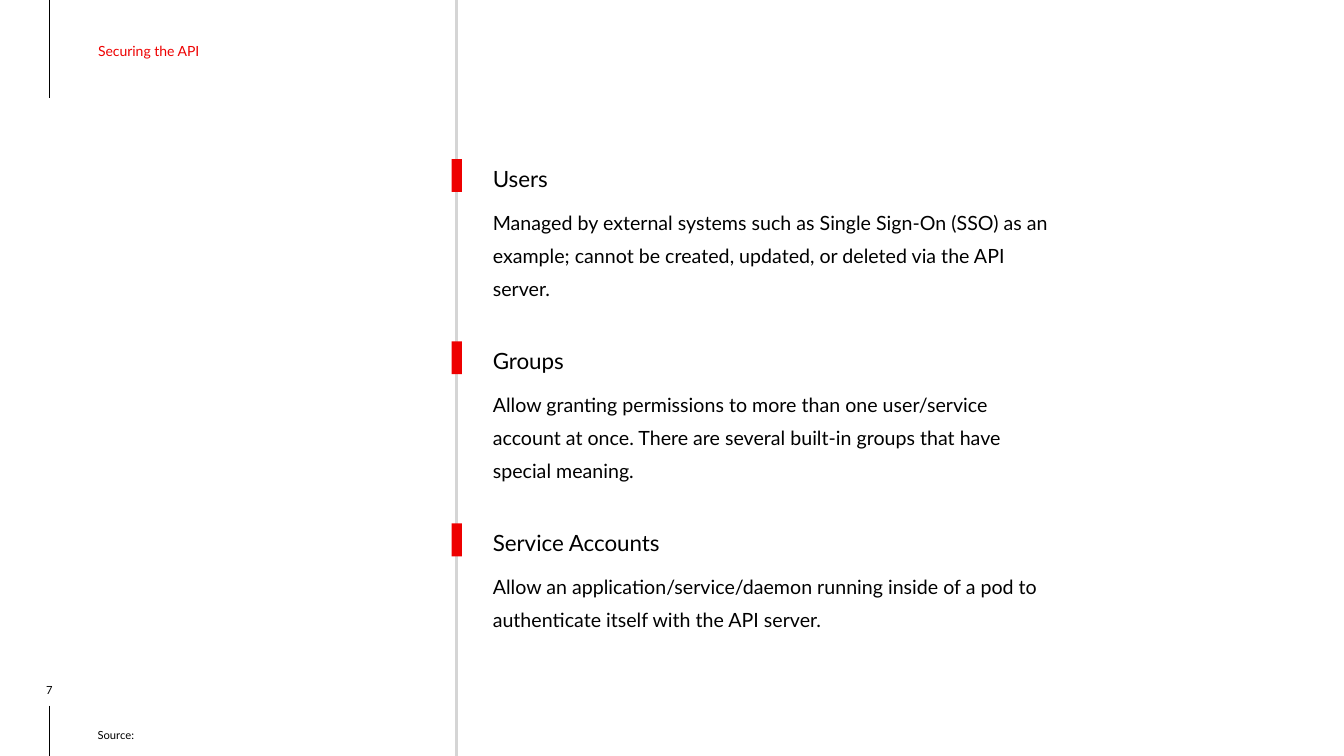
from pptx import Presentation
from pptx.dml.color import RGBColor
from pptx.enum.shapes import MSO_CONNECTOR as Connector, MSO_SHAPE as Shape
from pptx.enum.text import MSO_ANCHOR as Anchor, MSO_AUTO_SIZE as AutoSize, PP_ALIGN as Align
from pptx.oxml.ns import qn
from pptx.util import Cm, Pt
from lxml.etree import SubElement

# Content
TITLE = "Securing the API"
PAGE_NUMBER = "7"
SOURCE = "Source:"
SECTIONS = [
    ("Users", "Managed by external systems such as Single Sign-On (SSO) as an example; "
              "cannot be created, updated, or deleted via the API server."),
    ("Groups", "Allow granting permissions to more than one user/service account at once. "
               "There are several built-in groups that have special meaning."),
    ("Service Accounts", "Allow an application/service/daemon running inside of a pod to "
                         "authenticate itself with the API server."),
]

# Style
FONT = "Lato"
COLORS = {"accent": "EE0000", "text": "000000", "rail": "D5D5D5", "margin": "000000"}

# Layout in centimetres
WIDTH, HEIGHT = 33.87, 19.05
MARGIN_X = 1.25
RAIL_X = 11.51
MARKER_WIDTH, MARKER_HEIGHT = 0.26, 0.83
TEXT_X = 12.42
FIRST_Y, SECTION_STEP = 4.01, 4.59
BODY_OFFSET = 1.07


def color(name):
    return RGBColor.from_string(COLORS[name])


def write(box, text, size, ink="text", anchor=Anchor.BOTTOM, align=Align.LEFT,
          spacing=1.0, insets=(0, 0, 0, 0)):
    frame = box.text_frame
    frame.auto_size = AutoSize.NONE
    frame.word_wrap = True
    frame.vertical_anchor = anchor
    (frame.margin_left, frame.margin_top,
     frame.margin_right, frame.margin_bottom) = map(Cm, insets)
    para = frame.paragraphs[0]
    para.alignment = align
    para.line_spacing = spacing
    span = para.add_run()
    span.text = text
    span.font.name = FONT
    span.font.size = Pt(size)
    span.font.color.rgb = color(ink)


def add_text(page, left, top, width, height, text, size, **style):
    box = page.shapes.add_textbox(Cm(left), Cm(top), Cm(width), Cm(height))
    write(box, text, size, **style)


def add_vertical_line(page, x, top, bottom, ink, weight):
    line = page.shapes.add_connector(Connector.STRAIGHT, Cm(x), Cm(top), Cm(x), Cm(bottom))
    line.line.color.rgb = color(ink)
    line.line.width = Pt(weight)
    SubElement(line._element.spPr, qn("a:effectLst"))


def add_marker(page, top):
    marker = page.shapes.add_shape(Shape.RECTANGLE, Cm(RAIL_X - MARKER_WIDTH / 2), Cm(top),
                                   Cm(MARKER_WIDTH), Cm(MARKER_HEIGHT))
    marker.shadow.inherit = False
    marker.fill.solid()
    marker.fill.fore_color.rgb = color("accent")
    marker.line.fill.background()


def main():
    deck = Presentation()
    deck.slide_width, deck.slide_height = Cm(WIDTH), Cm(HEIGHT)
    page = deck.slides.add_slide(deck.slide_layouts[5])

    # Margin lines and central rail
    add_vertical_line(page, MARGIN_X, 0, 2.47, "margin", 0.75)
    add_vertical_line(page, MARGIN_X, 17.78, HEIGHT, "margin", 0.75)
    add_vertical_line(page, RAIL_X, 0, HEIGHT, "rail", 2.25)

    # Title
    title = page.shapes.title
    title.left, title.top, title.width, title.height = Cm(MARGIN_X), Cm(0.15), Cm(14.3), Cm(2.26)
    write(title, TITLE, 10, ink="accent", anchor=Anchor.MIDDLE,
          insets=(1.22, 0.25, 0.25, 0.25))

    # Sections along the rail
    for index, (heading, body) in enumerate(SECTIONS):
        top = FIRST_Y + index * SECTION_STEP
        add_marker(page, top)
        add_text(page, TEXT_X, top, 12.6, MARKER_HEIGHT, heading, 16)
        add_text(page, TEXT_X, top + BODY_OFFSET, 14.2, 1.8, body, 14,
                 anchor=Anchor.TOP, spacing=1.4)

    # Footer
    add_text(page, 0.23, 17.15, 2.03, 0.41, PAGE_NUMBER, 8, align=Align.CENTER)
    add_text(page, 2.46, 17.15, 22.23, 1.55, SOURCE, 8, spacing=1.15)

    deck.save("out.pptx")


if __name__ == "__main__":
    main()
